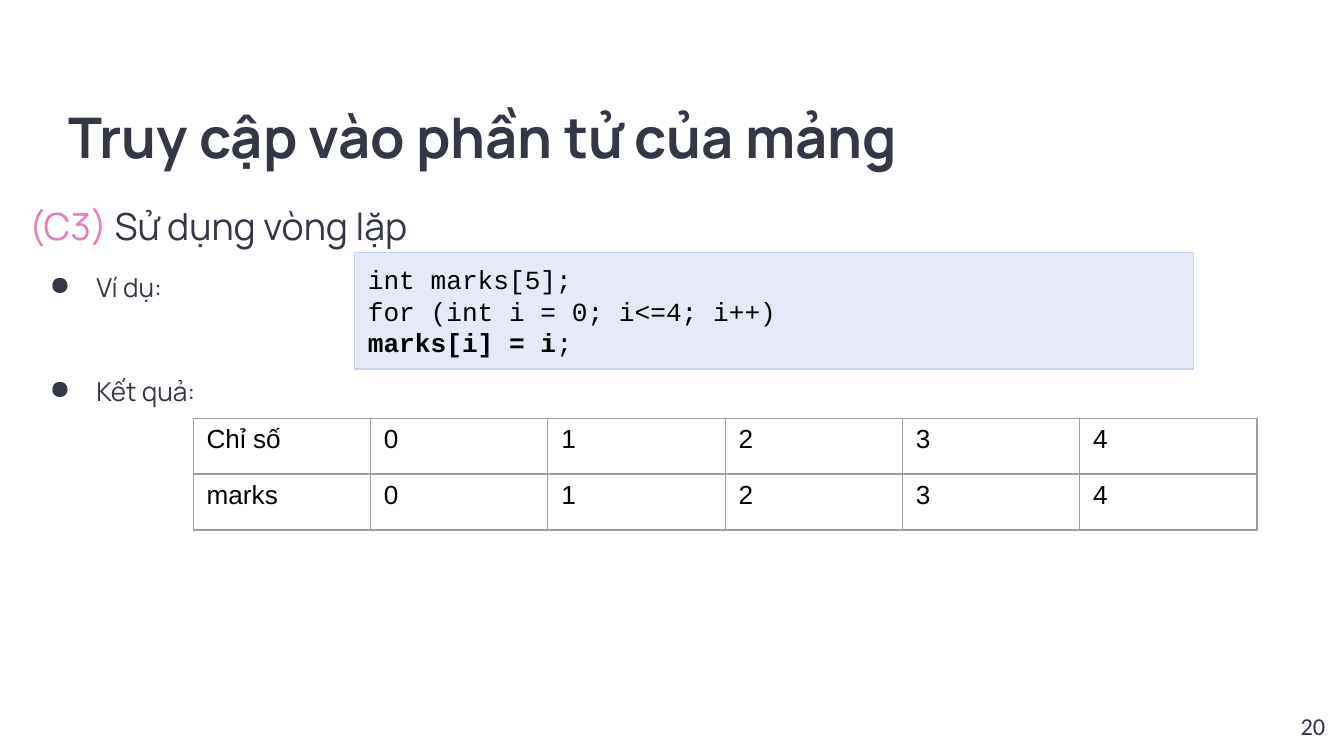
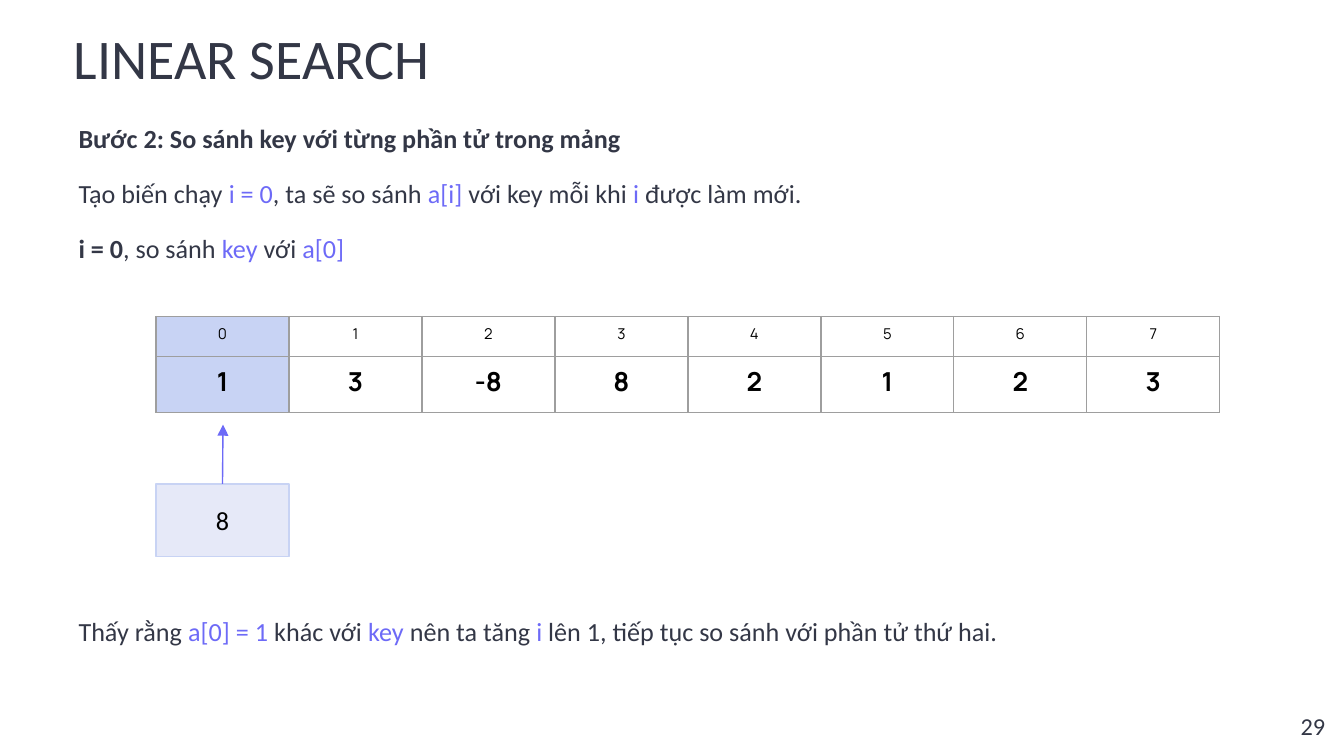
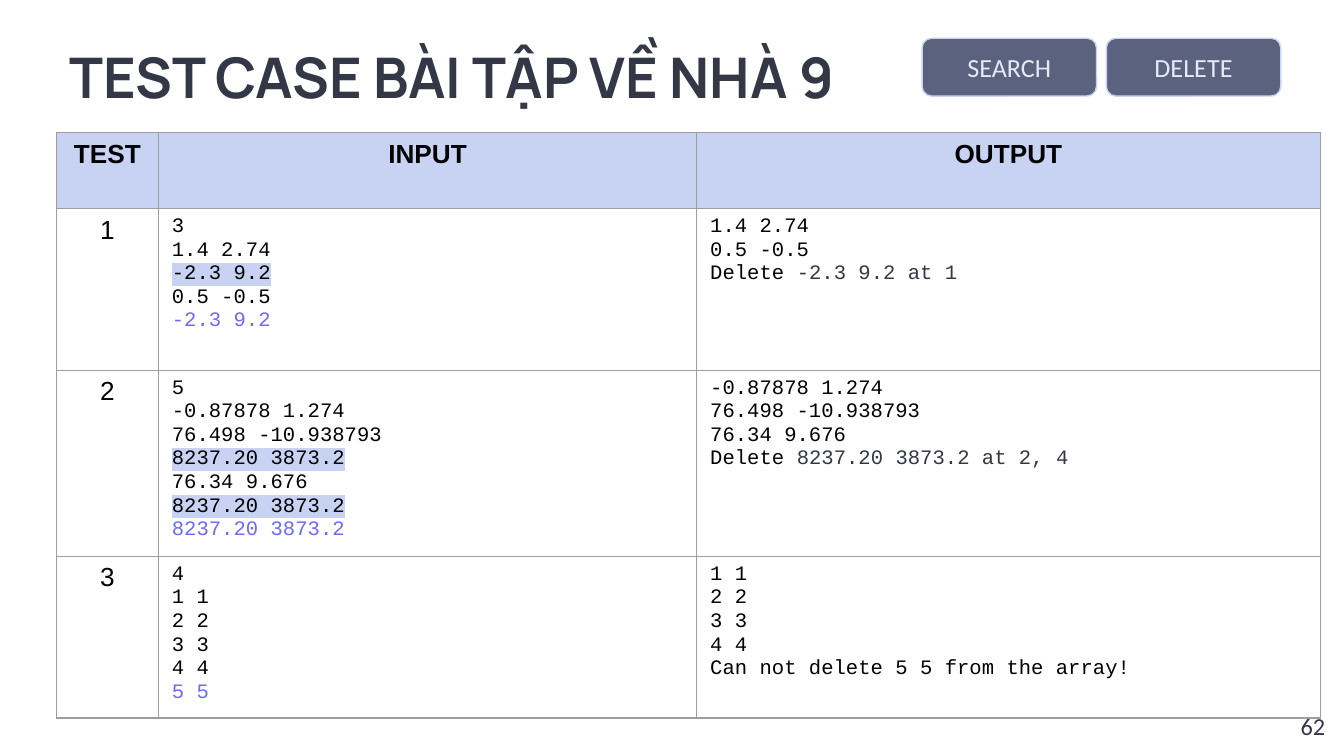
from lxml import etree
from pptx import Presentation
from pptx import util as u
from pptx.dml.color import RGBColor
from pptx.enum import shapes, text
from pptx.oxml import ns

INK, BLACK, ACCENT, PINK = "333746", "000000", "6D6AF7", "E67CB9"
PALE, BLUE, SLATE, GRID = "E6E9F8", "C8D3F4", "5B627D", "9E9E9E"
LEFT, CENTER, RIGHT = text.PP_ALIGN.LEFT, text.PP_ALIGN.CENTER, text.PP_ALIGN.RIGHT
INSET = 7.2
color = RGBColor.from_string


def write(frame, lines, font, size, ink=BLACK, bold=False, align=LEFT, spacing=None, gaps=(), bullets=()):
    """Fill a frame; a line is a string or a list of strings and (text, style) pairs.

    A style is a colour, "bold" or "mark"; gaps and bullets go by line number.
    """
    frame.word_wrap = True
    frame.margin_left = frame.margin_right = frame.margin_top = frame.margin_bottom = u.Pt(INSET)
    for number, line in enumerate(lines):
        para = frame.paragraphs[0] if number == 0 else frame.add_paragraph()
        para.alignment = align
        if spacing:
            para.line_spacing = spacing
        if gaps and number:
            para.space_before = u.Pt(gaps[number])
        if number in bullets:
            props = para._p.get_or_add_pPr()
            props.set("marL", str(u.Pt(36)))
            props.set("indent", str(u.Pt(-25)))
            tint = etree.SubElement(props, ns.qn("a:buClr"))
            etree.SubElement(tint, ns.qn("a:srgbClr"), val=ink)
            etree.SubElement(props, ns.qn("a:buChar"), char="●")
        para.font.name, para.font.size, para.font.bold = font, u.Pt(size), bold
        para.font.color.rgb = color(ink)
        for part in [line] if isinstance(line, str) else line:
            words, style = (part, None) if isinstance(part, str) else part
            span = para.add_run()
            span.text = words
            if style == "bold":
                span.font.bold = True
            elif style == "mark":
                mark = etree.SubElement(span._r.get_or_add_rPr(), ns.qn("a:highlight"))
                etree.SubElement(mark, ns.qn("a:srgbClr"), val=BLUE)
            elif style:
                span.font.color.rgb = color(style)


def add_grid(page, left, top, widths, heights, filled):
    """Add a ruled table; filled(row, column) tells which cells are blue."""
    table = page.shapes.add_table(len(heights), len(widths), u.Pt(left), u.Pt(top),
                                  u.Pt(sum(widths)), u.Pt(sum(heights))).table
    table.first_row = table.horz_banding = False
    for column, width in zip(table.columns, widths):
        column.width = u.Pt(width)
    for row, height in enumerate(heights):
        table.rows[row].height = u.Pt(height)
        for column in range(len(widths)):
            cell = table.cell(row, column)
            if filled(row, column):
                cell.fill.solid()
                cell.fill.fore_color.rgb = color(BLUE)
            else:
                cell.fill.background()
            props = cell._tc.get_or_add_tcPr()
            for place, side in enumerate(("lnL", "lnR", "lnT", "lnB")):
                border = etree.Element(ns.qn("a:" + side), w=str(u.Pt(0.75)))
                paint = etree.SubElement(border, ns.qn("a:solidFill"))
                etree.SubElement(paint, ns.qn("a:srgbClr"), val=GRID)
                props.insert(place, border)
    return table


deck = Presentation()
deck.slide_width, deck.slide_height = u.Pt(720), u.Pt(405)

# Titles and page numbers
pages = []
for title, font, bold, left, top, width, number in (
    ("Truy cập vào phần tử của mảng", "Manrope", True, 29.5, 42.5, 661, "20"),
    ("LINEAR SEARCH", "Calibri", False, 32.5, 0, 608, "29"),
    ("TEST CASE BÀI TẬP VỀ NHÀ 9", "Manrope", True, 30, 10, 446, "62"),
):
    page = deck.slides.add_slide(deck.slide_layouts[6])
    pages.append(page)
    box = page.shapes.add_textbox(u.Pt(left), u.Pt(top), u.Pt(width), u.Pt(55.5))
    write(box.text_frame, [title], font, 30, INK, bold, spacing=1.15)
    box = page.shapes.add_textbox(u.Pt(674), u.Pt(373.7), u.Pt(43), u.Pt(31))
    write(box.text_frame, [number], "Calibri", 13, INK, align=RIGHT)
access, search, tests = pages

# Body texts
box = access.shapes.add_textbox(u.Pt(8.6), u.Pt(98), u.Pt(720), u.Pt(265))
write(box.text_frame, [[("(C3) ", PINK), "Sử dụng vòng lặp"], "Ví dụ:", "Kết quả:"],
      "Manrope", 14, INK, spacing=1.15, gaps=(0, 10, 36.5), bullets=(1, 2))
box.text_frame.paragraphs[0].font.size = u.Pt(20)

box = search.shapes.add_textbox(u.Pt(35), u.Pt(56), u.Pt(667), u.Pt(311))
write(box.text_frame, [
    [("Bước 2: So sánh key với từng phần tử trong mảng", "bold")],
    ["Tạo biến chạy ", ("i = 0", ACCENT), ", ta sẽ so sánh ", ("a[i]", ACCENT),
     " với key mỗi khi ", ("i", ACCENT), " được làm mới."],
    [("i = 0", "bold"), ", so sánh ", ("key", ACCENT), " với ", ("a[0]", ACCENT)],
    ["Thấy rằng ", ("a[0] = 1", ACCENT), " khác với ", ("key", ACCENT), " nên ta tăng ",
     ("i", ACCENT), " lên 1, tiếp tục so sánh với phần tử thứ hai."],
], "Calibri", 14, INK, spacing=1.15, gaps=(0, 10, 10, 186))

# Code panel, search key and buttons
RECT, ROUNDED = shapes.MSO_SHAPE.RECTANGLE, shapes.MSO_SHAPE.ROUNDED_RECTANGLE
code = ["int marks[5];", "for (int i = 0; i<=4; i++)", [("marks[i] = i", "bold"), ";"]]
for page, kind, left, top, width, height, fill, lines, font, ink, align in (
    (access, RECT, 190, 135.3, 449.3, 62.5, PALE, code, "Courier New", BLACK, LEFT),
    (search, RECT, 83.6, 259.3, 71.25, 39, PALE, ["8"], "Calibri", BLACK, CENTER),
    (tests, ROUNDED, 494, 20.5, 93.5, 31, SLATE, ["SEARCH"], "Calibri", PALE, CENTER),
    (tests, ROUNDED, 592.7, 20.5, 93.5, 31, SLATE, ["DELETE"], "Calibri", PALE, CENTER),
):
    panel = page.shapes.add_shape(kind, u.Pt(left), u.Pt(top), u.Pt(width), u.Pt(height))
    panel.shadow.inherit = False
    panel.fill.solid()
    panel.fill.fore_color.rgb = color(fill)
    panel.line.color.rgb = color(BLUE)
    panel.line.width = u.Pt(0.75)
    panel.text_frame.vertical_anchor = text.MSO_ANCHOR.MIDDLE
    write(panel.text_frame, lines, font, 14, ink, align=align)

# Array after the loop
table = add_grid(access, 103.5, 224, [95] * 6, [30] * 2, lambda row, column: False)
for row, label in enumerate(("Chỉ số", "marks")):
    for column, value in enumerate([label, *"01234"]):
        write(table.cell(row, column).text_frame, [value], "Arial", 14)

# Searched array, with the key pointing at its first element
table = add_grid(search, 83.6, 169.6, [71.25] * 8, [21.6, 30], lambda row, column: column == 0)
for column, value in enumerate((1, 3, -8, 8, 2, 1, 2, 3)):
    write(table.cell(0, column).text_frame, [str(column)], "Manrope", 8, align=CENTER)
    write(table.cell(1, column).text_frame, [str(value)], "Manrope", 14, bold=True, align=CENTER)

arrow = search.shapes.add_connector(shapes.MSO_CONNECTOR.STRAIGHT,
                                    u.Pt(119.2), u.Pt(259.3), u.Pt(119.5), u.Pt(227.5))
arrow.line.color.rgb = color(ACCENT)
arrow.line.width = u.Pt(0.75)
etree.SubElement(arrow.line._get_or_add_ln(), ns.qn("a:tailEnd"), type="triangle")
etree.SubElement(arrow._element.spPr, ns.qn("a:effectLst"))

# Test cases
cases = (
    (["3", "1.4 2.74", [("-2.3 9.2", "mark")], "0.5 -0.5", [("-2.3 9.2", ACCENT)]],
     ["1.4 2.74", "0.5 -0.5", ["Delete ", ("-2.3 9.2 at 1", INK)]]),
    (["5", "-0.87878 1.274", "76.498 -10.938793", [("8237.20 3873.2", "mark")], "76.34 9.676",
      [("8237.20 3873.2", "mark")], [("8237.20 3873.2", ACCENT)]],
     ["-0.87878 1.274", "76.498 -10.938793", "76.34 9.676",
      ["Delete ", ("8237.20 3873.2 at 2, 4", INK)]]),
    (["4", "1 1", "2 2", "3 3", "4 4", [("5 5", ACCENT)]],
     ["1 1", "2 2", "3 3", "4 4", "Can not delete 5 5 from the array!"]),
)
table = add_grid(tests, 30.2, 71, [54.7, 288.4, 334], [40.8] + [86.6] * 3, lambda row, column: row == 0)
for column, heading in enumerate(("TEST", "INPUT", "OUTPUT")):
    write(table.cell(0, column).text_frame, [heading], "Arial", 14, bold=True, align=CENTER)
for row, case in enumerate(cases, 1):
    write(table.cell(row, 0).text_frame, [str(row)], "Arial", 14, align=CENTER)
    for column, lines in enumerate(case, 1):
        write(table.cell(row, column).text_frame, lines, "Courier New", 11)

deck.save("out.pptx")
